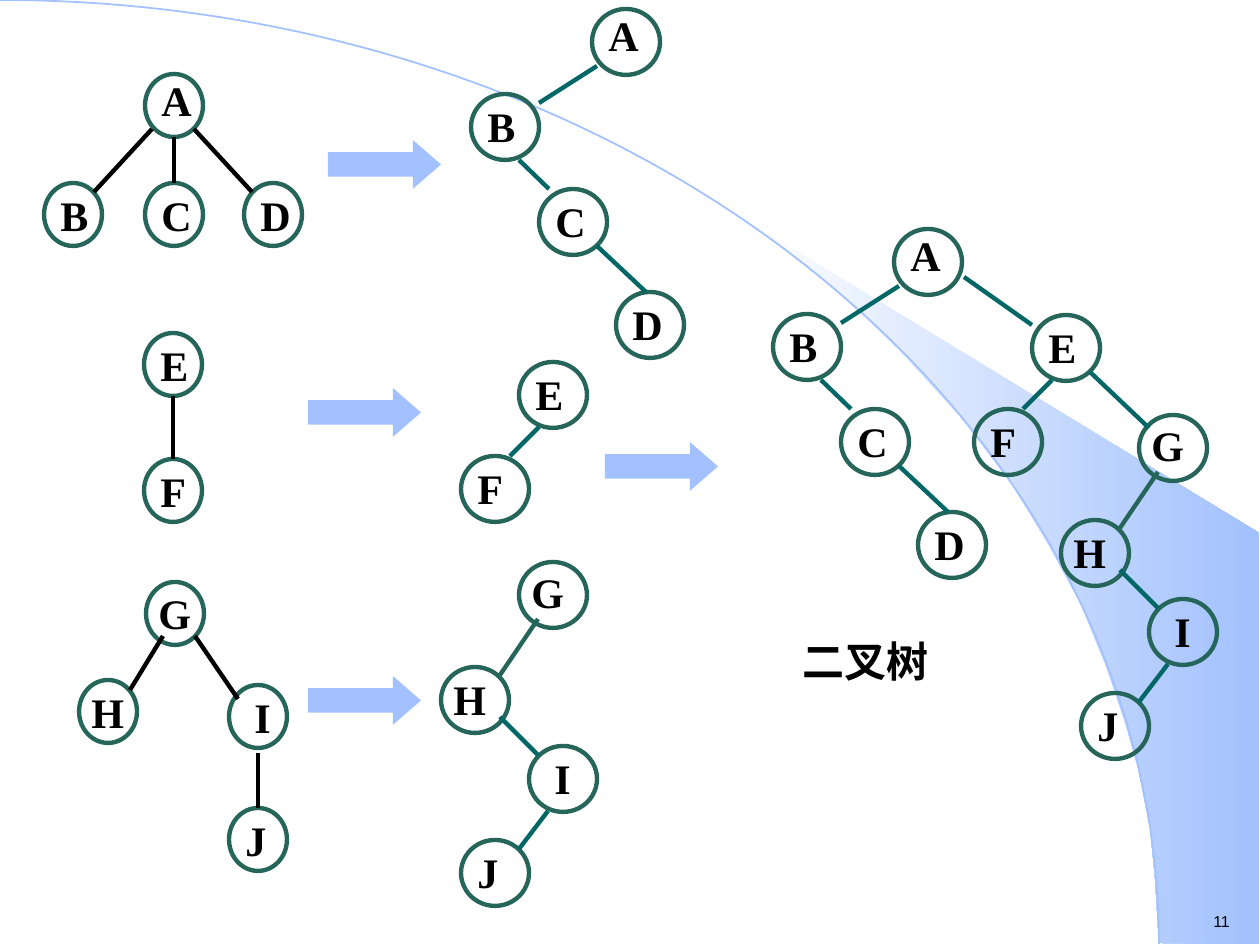
import math
from dataclasses import dataclass

from lxml import etree
from pptx import Presentation
from pptx import util as u
from pptx.dml.color import RGBColor as Rgb
from pptx.enum import shapes as kinds
from pptx.oxml import ns

PX = 914400 / 126


@dataclass(frozen=True)
class Theme:
    ring: str = "26665A"
    teal: str = "006666"
    ink: str = "000000"
    sky: str = "A2C1FE"
    white: str = "FFFFFF"
    serif: str = "Times New Roman"
    sans: str = "Arial"
    big: int = 24
    small: int = 9
    stroke: float = 2.5
    thin: float = 1


T = Theme()
SMALL, LARGE = (58, 63), (68, 66)  # ring sizes
SHIFT = {"G": 0, "H": 0, "I": 13}  # label offset from the ring's left side

# Each tree: nodes {letter: (left, top)}, edges [(x1, y1, x2, y2[, colour])]
PLAIN = [
    ({"A": (145, 74), "B": (44, 183), "C": (145, 183), "D": (244, 183)},
     [(174, 137, 174, 183), (152, 129, 94, 192), (194, 129, 252, 192)]),
    ({"E": (144, 333), "F": (144, 459)}, [(173, 396, 173, 459)]),
    ({"G": (146, 582), "H": (79, 680), "I": (229, 685), "J": (229, 808)},
     [(163, 636, 130, 690), (195, 636, 238, 699), (258, 753, 258, 808)]),
]
BINARY = [
    ({"A": (592, 9), "B": (471, 94), "C": (539, 189), "D": (616, 292)},
     [(597, 66, 539, 103), (519, 160, 549, 189), (597, 246, 646, 292)]),
    ({"E": (519, 362), "F": (461, 456)}, [(539, 427, 510, 456)]),
    ({"G": (519, 562), "H": (441, 667), "I": (529, 746), "J": (461, 840)},
     [(538, 619, 500, 675, T.ring), (500, 717, 538, 755),
      (548, 811, 519, 849)]),
]
MOVES = [(302, 220), (513, -47), (620, -147)]  # binary trees into the merged one
JOINS = [(964, 277, 1032, 325), (1090, 372, 1149, 428)]
ARROWS = [(328, 140), (308, 388), (308, 676), (605, 442)]
WEDGE = [(1159, 943), (1259, 944), (1259, 533), (742, 218), (786, 251),
         (823, 280), (863, 315), (902, 353), (960, 416), (1012, 484),
         (1048, 543), (1081, 604), (1106, 665), (1125, 721), (1138, 767),
         (1150, 827), (1155, 877)]


def emu(*vals):
    return [round(v * PX) for v in vals]


def hue(code):
    return Rgb.from_string(code)


def outline(pool, pts, close):
    pts = [tuple(emu(*p)) for p in pts]
    pen = pool.build_freeform(*pts[0])
    pen.add_line_segments(pts[1:], close=close)
    shape = pen.convert_to_shape()
    shape.shadow.inherit = False
    return shape


def backdrop(pool):
    wedge = outline(pool, WEDGE, True)
    wedge.line.fill.background()
    wedge.fill.gradient()
    wedge.fill.gradient_angle = 0
    for stop, code, pos in zip(wedge.fill.gradient_stops,
                               (T.white, T.sky), (0, 1)):
        stop.color.rgb = hue(code)
        stop.position = pos

    turns = [math.pi / 2 * i / 90 for i in range(91)]
    arc = outline(pool, [(1159 * math.sin(t), 944 * (1 - math.cos(t)))
                         for t in turns], False)
    arc.fill.background()
    arc.line.color.rgb = hue(T.sky)
    arc.line.width = u.Pt(T.thin)


def label(pool, words, box, font=T.serif, size=T.big, bold=True,
          top=10, space=1.0, wrap=True):
    frame = pool.add_textbox(*emu(*box)).text_frame
    frame.word_wrap = wrap
    frame.margin_top = emu(top)[0]
    para = frame.paragraphs[0]
    para.text = words
    para.line_spacing = space
    run = para.runs[0].font
    run.name, run.size, run.bold = font, u.Pt(size), bold
    run.color.rgb = hue(T.ink)


def node(pool, name, x, y, size):
    ring = pool.add_shape(kinds.MSO_SHAPE.OVAL, *emu(x, y, *size))
    ring.shadow.inherit = False
    ring.fill.background()
    ring.line.color.rgb = hue(T.ring)
    ring.line.width = u.Pt(T.stroke)
    rise = 5 if name == "G" else 9
    space, tall = (1.0, 63) if name in "AG" else (1.1, 68)
    label(pool, name, (x + SHIFT.get(name, 4), y - rise, size[0], tall),
          space=space)


def edge(pool, x1, y1, x2, y2, color):
    line = pool.add_connector(kinds.MSO_CONNECTOR.STRAIGHT,
                              *emu(x1, y1, x2, y2))
    line.line.color.rgb = hue(color)
    line.line.width = u.Pt(T.stroke)
    etree.SubElement(line._element.spPr, ns.qn("a:effectLst"))


def tree(pool, data, size, color, move=(0, 0)):
    nodes, edges = data
    dx, dy = move
    group = pool.add_group_shape().shapes
    for name, (x, y) in nodes.items():
        node(group, name, x + dx, y + dy, size)
    for x1, y1, x2, y2, *own in edges:
        edge(group, x1 + dx, y1 + dy, x2 + dx, y2 + dy,
             own[0] if own else color)


def arrow(pool, x, y):
    shape = pool.add_shape(kinds.MSO_SHAPE.RIGHT_ARROW, *emu(x, y, 113, 49))
    shape.adjustments[1] = 0.574
    shape.shadow.inherit = False
    shape.fill.solid()
    shape.fill.fore_color.rgb = hue(T.sky)
    shape.line.fill.background()


def main():
    deck = Presentation()
    deck.slide_width, deck.slide_height = emu(1260, 945)
    pool = deck.slides.add_slide(deck.slide_layouts[6]).shapes
    backdrop(pool)
    label(pool, "11", (1201, 906, 44, 32), T.sans, T.small, False,
          top=6, wrap=False)
    label(pool, "二叉树", (790, 626, 213, 63))
    for plain, binary, move in zip(PLAIN, BINARY, MOVES):
        tree(pool, plain, SMALL, T.ink)
        tree(pool, binary, LARGE, T.teal)
        tree(pool, binary, LARGE, T.teal, move)
    for ends in JOINS:
        edge(pool, *ends, T.teal)
    for spot in ARROWS:
        arrow(pool, *spot)
    deck.save("out.pptx")


if __name__ == "__main__":
    main()
